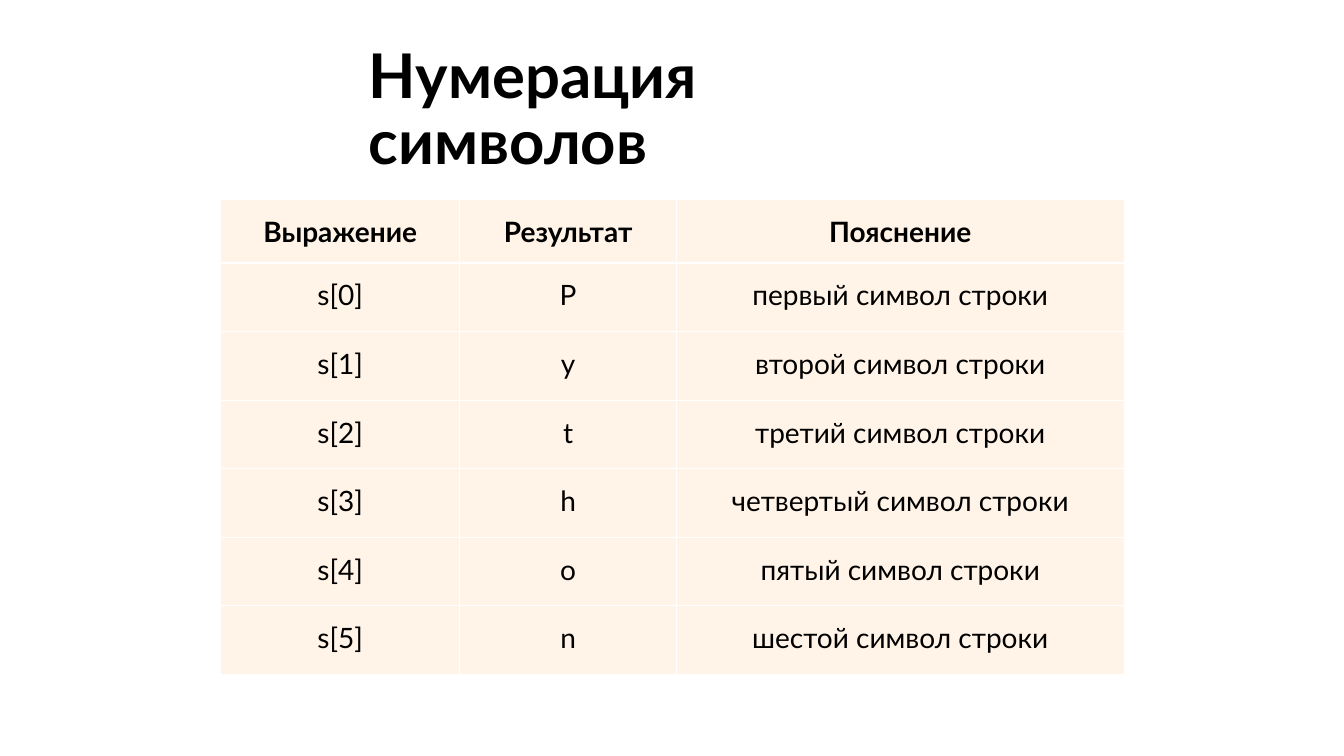
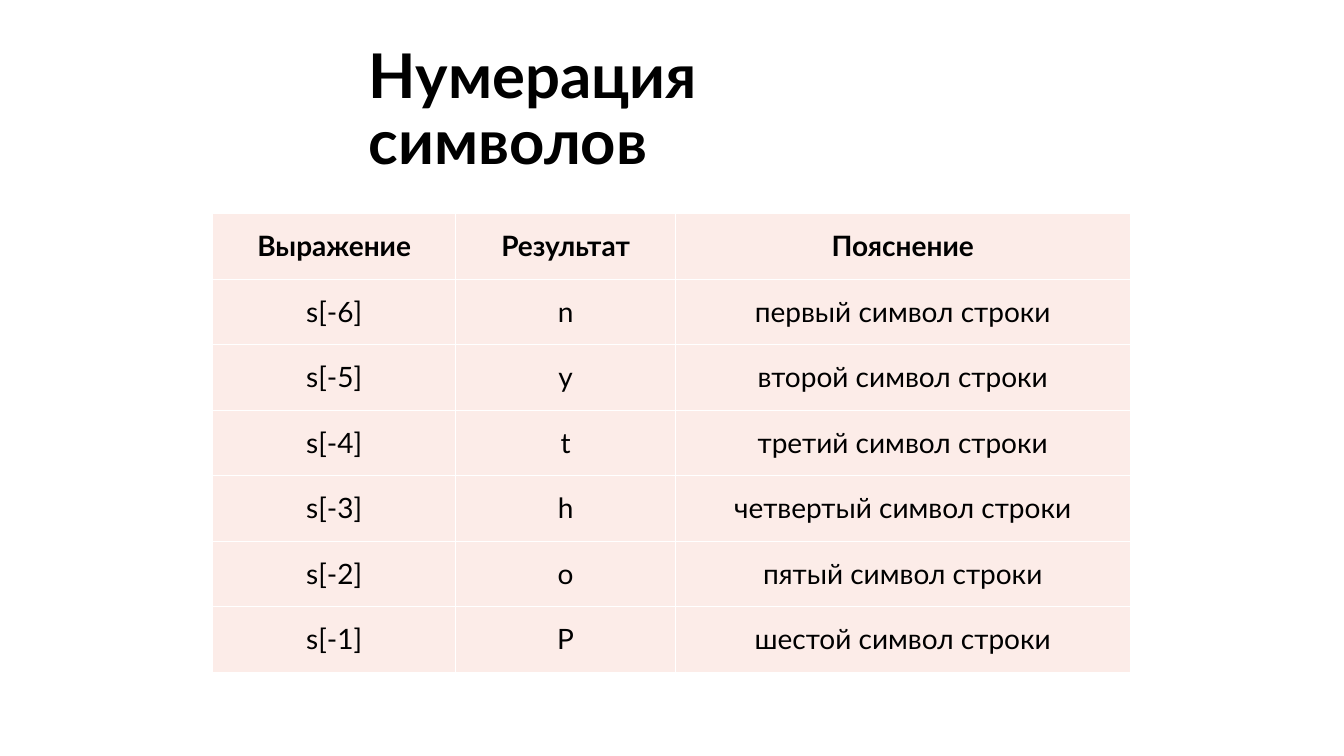
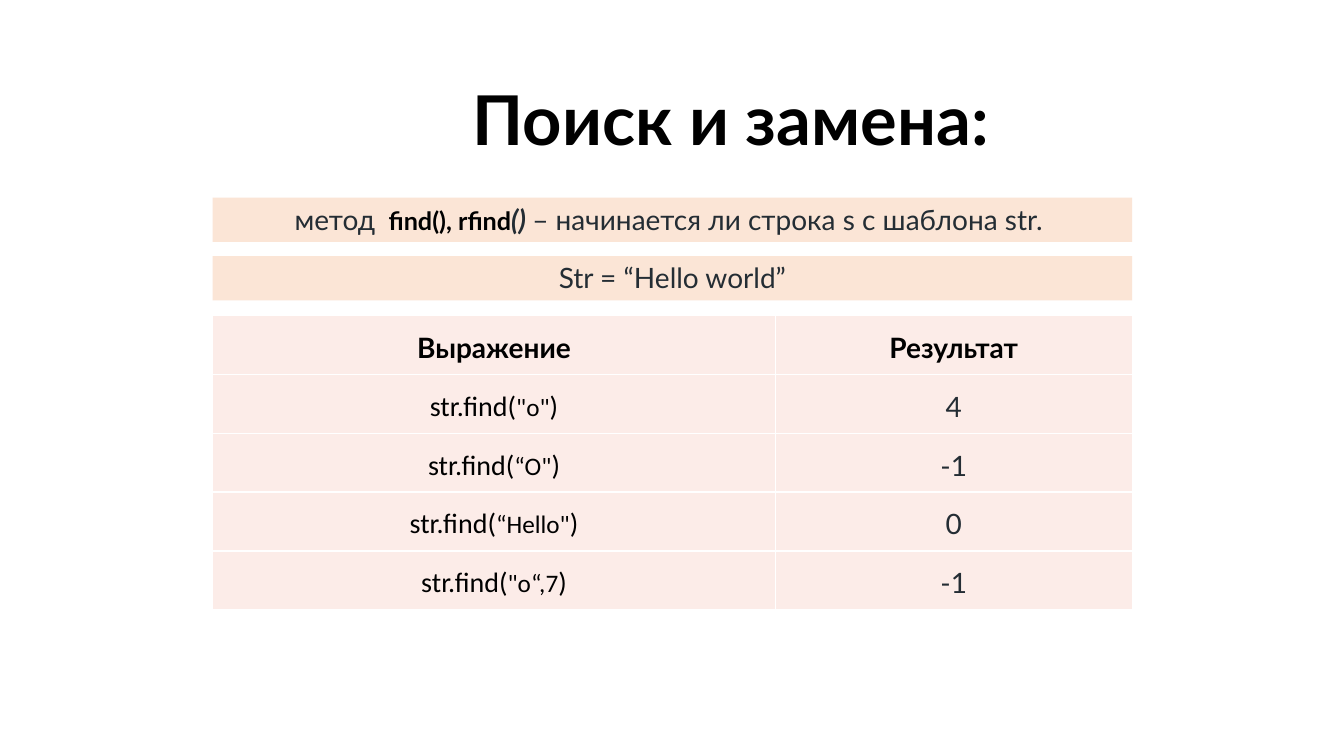
from dataclasses import dataclass

from lxml import etree
from pptx import Presentation
from pptx.dml.color import RGBColor
from pptx.enum.shapes import MSO_SHAPE
from pptx.enum.text import MSO_ANCHOR, PP_ALIGN
from pptx.oxml.ns import qn
from pptx.util import Inches, Pt

RECTANGLE = MSO_SHAPE.RECTANGLE
CENTER = PP_ALIGN.CENTER
TOP, MIDDLE = MSO_ANCHOR.TOP, MSO_ANCHOR.MIDDLE


@dataclass(frozen=True)
class Theme:
    font: str = "Lato"
    code_font: str = "Calibri"
    black: str = "000000"
    slate: str = "242D34"
    white: str = "FFFFFF"
    cream: str = "FFF4E7"
    rose: str = "FCECE8"
    peach: str = "FBE5D6"
    title_size: int = 44
    large_title_size: int = 49
    body_size: int = 20
    small_size: int = 18
    border_width: int = 1

    def text(self, **changes):
        """Return the body text format with the given changes."""
        return {"name": self.font, "size": self.body_size, "color": self.black,
                "bold": False, "italic": False, **changes}


THEME = Theme()
BODY = THEME.text()
BOLD = THEME.text(bold=True)
SLATE = THEME.text(color=THEME.slate)
CODE = THEME.text(name=THEME.code_font)
CODE_ARGUMENT = THEME.text(name=THEME.code_font, size=THEME.small_size)


class Deck:
    def __init__(self, theme):
        self.theme = theme
        self.presentation = Presentation()
        self.presentation.slide_width = Inches(13.33)
        self.presentation.slide_height = Inches(7.5)
        self.slide = None

    def new_slide(self):
        blank = self.presentation.slide_layouts[6]
        self.slide = self.presentation.slides.add_slide(blank)

    def fill_paragraph(self, paragraph, runs, **layout):
        for attribute, value in layout.items():
            setattr(paragraph, attribute, value)
        for text, style in runs:
            run = paragraph.add_run()
            run.text = text
            values = {**style, "size": Pt(style["size"])}
            run.font.color.rgb = RGBColor.from_string(values.pop("color"))
            for attribute, value in values.items():
                setattr(run.font, attribute, value)

    def title(self, text, box, size, line_spacing):
        frame = self.slide.shapes.add_textbox(*map(Inches, box)).text_frame
        frame.word_wrap = True
        frame.vertical_anchor = MIDDLE
        style = self.theme.text(size=size, bold=True)
        self.fill_paragraph(frame.paragraphs[0], [(text, style)],
                            line_spacing=line_spacing)

    def band(self, runs, box):
        band = self.slide.shapes.add_shape(RECTANGLE, *map(Inches, box))
        band.shadow.inherit = False
        band.fill.solid()
        band.fill.fore_color.rgb = RGBColor.from_string(self.theme.peach)
        band.line.fill.background()
        band.text_frame.vertical_anchor = TOP
        self.fill_paragraph(band.text_frame.paragraphs[0], runs, alignment=CENTER)

    def table(self, left, top, widths, heights, header, rows, fill):
        """Draw a bold header and rows whose cells are lists of (text, style)."""
        grid = [[[(label, BOLD)] for label in header], *rows]
        table = self.slide.shapes.add_table(
            len(grid), len(widths), Inches(left), Inches(top),
            Inches(sum(widths)), Inches(sum(heights))).table
        table.horz_banding = False
        for column, width in zip(table.columns, widths):
            column.width = Inches(width)
        for row, height in zip(table.rows, heights):
            row.height = Inches(height)
        for r, row in enumerate(grid):
            side = Inches(0.11 if r else 0.1)
            margins = {"margin_left": side, "margin_right": side,
                       "margin_top": Inches(0.1), "margin_bottom": Inches(0.1)}
            for c, runs in enumerate(row):
                cell = table.cell(r, c)
                for attribute, value in margins.items():
                    setattr(cell, attribute, value)
                self.cell_borders(cell)
                cell.fill.solid()
                cell.fill.fore_color.rgb = RGBColor.from_string(fill)
                self.fill_paragraph(cell.text_frame.paragraphs[0], runs,
                                    alignment=CENTER, line_spacing=1.15)

    def cell_borders(self, cell):
        properties = cell._tc.get_or_add_tcPr()
        for edge in ("a:lnL", "a:lnR", "a:lnT", "a:lnB"):
            line = etree.SubElement(properties, qn(edge),
                                    w=str(Pt(self.theme.border_width)))
            paint = etree.SubElement(line, qn("a:solidFill"))
            etree.SubElement(paint, qn("a:srgbClr"), val=self.theme.white)


ORDINALS = ("первый", "второй", "третий", "четвертый", "пятый", "шестой")


def numbering_slide(deck, letters, first_index, **table):
    deck.new_slide()
    deck.title("Нумерация символов", (3.56, 0.38, 6.2, 1.45),
               deck.theme.title_size, 0.9)
    rows = [[[(text, BODY)] for text in (f"s[{index}]", letter, f"{ordinal} символ строки")]
            for index, (letter, ordinal) in enumerate(zip(letters, ORDINALS), first_index)]
    deck.table(header=("Выражение", "Результат", "Пояснение"), rows=rows, **table)


def search_slide(deck):
    left, widths = 2.11, (5.58, 3.54)
    band_top, band_height, band_step = 1.96, 0.44, 0.58
    deck.new_slide()
    deck.title("Поиск и замена:", (4.59, 0.44, 5.52, 1.22),
               deck.theme.large_title_size, 1.3)
    method = [
        ("метод ", SLATE),
        (" find(), rfind", deck.theme.text(size=deck.theme.small_size, bold=True)),
        ("() ", {**SLATE, "bold": True, "italic": True}),
        ("– начинается ли строка s с шаблона str. ", SLATE),
    ]
    sample = [("Str = “Hello world”", SLATE)]
    for position, runs in enumerate((method, sample)):
        deck.band(runs, (left, band_top + position * band_step, sum(widths), band_height))
    searches = (('"o"', "4"), ('“O"', "-1"), ('“Hello"', "0"), ('"o“,7', "-1"))
    rows = [[[("str.find(", CODE), (argument, CODE_ARGUMENT), (")", CODE)], [(found, SLATE)]]
            for argument, found in searches]
    deck.table(left, 3.13, widths, [0.57] * 5, ("Выражение", "Результат"),
               rows, deck.theme.rose)


def main():
    deck = Deck(THEME)
    numbering_slide(deck, "Python", 0, left=2.19, top=1.98, widths=(2.37, 2.15, 4.44),
                    heights=[0.63] + [0.68] * 6, fill=THEME.cream)
    numbering_slide(deck, "nythoP", -6, left=2.11, top=2.12, widths=(2.41, 2.18, 4.51),
                    heights=[0.65] * 7, fill=THEME.rose)
    search_slide(deck)
    deck.presentation.save("out.pptx")


if __name__ == "__main__":
    main()
